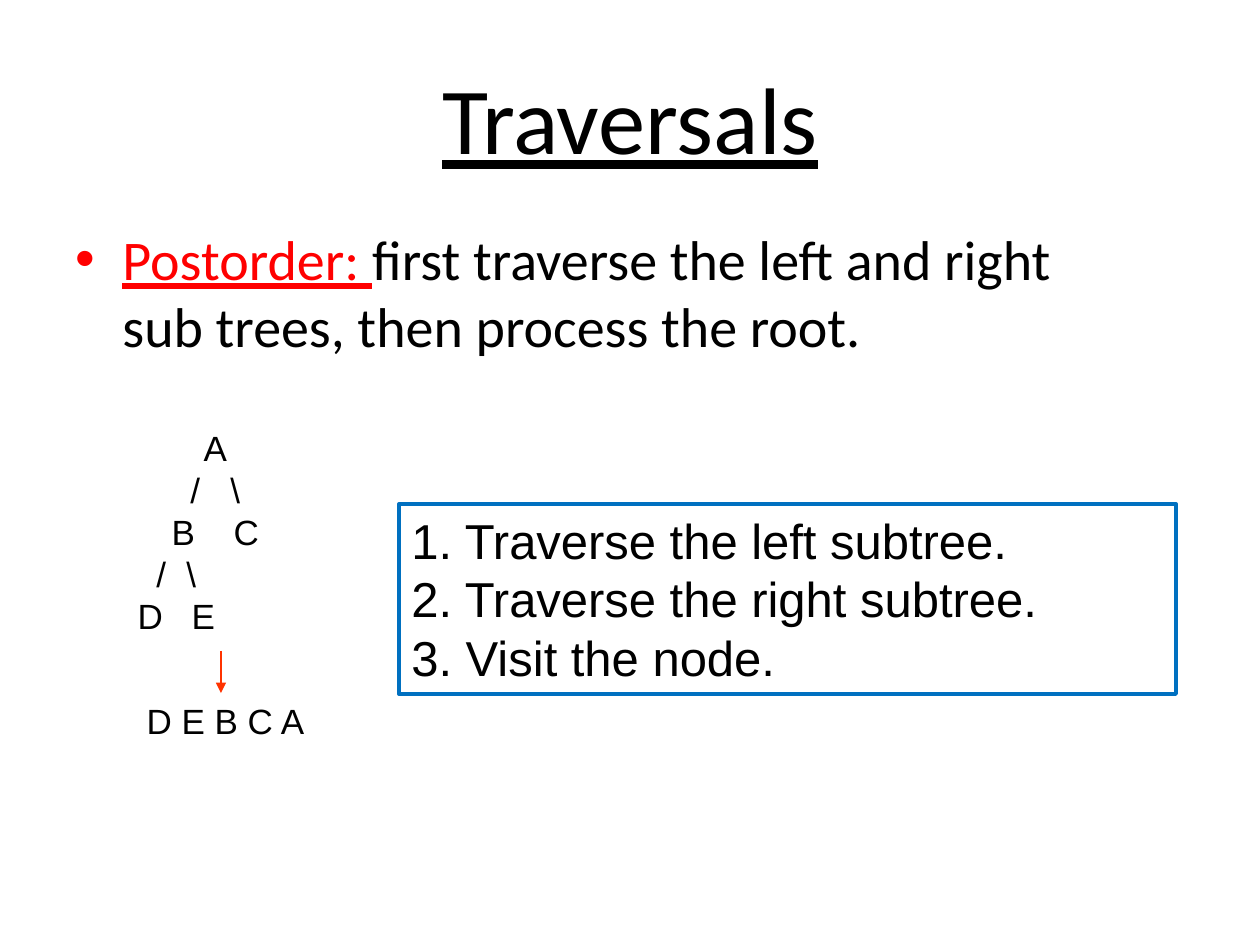
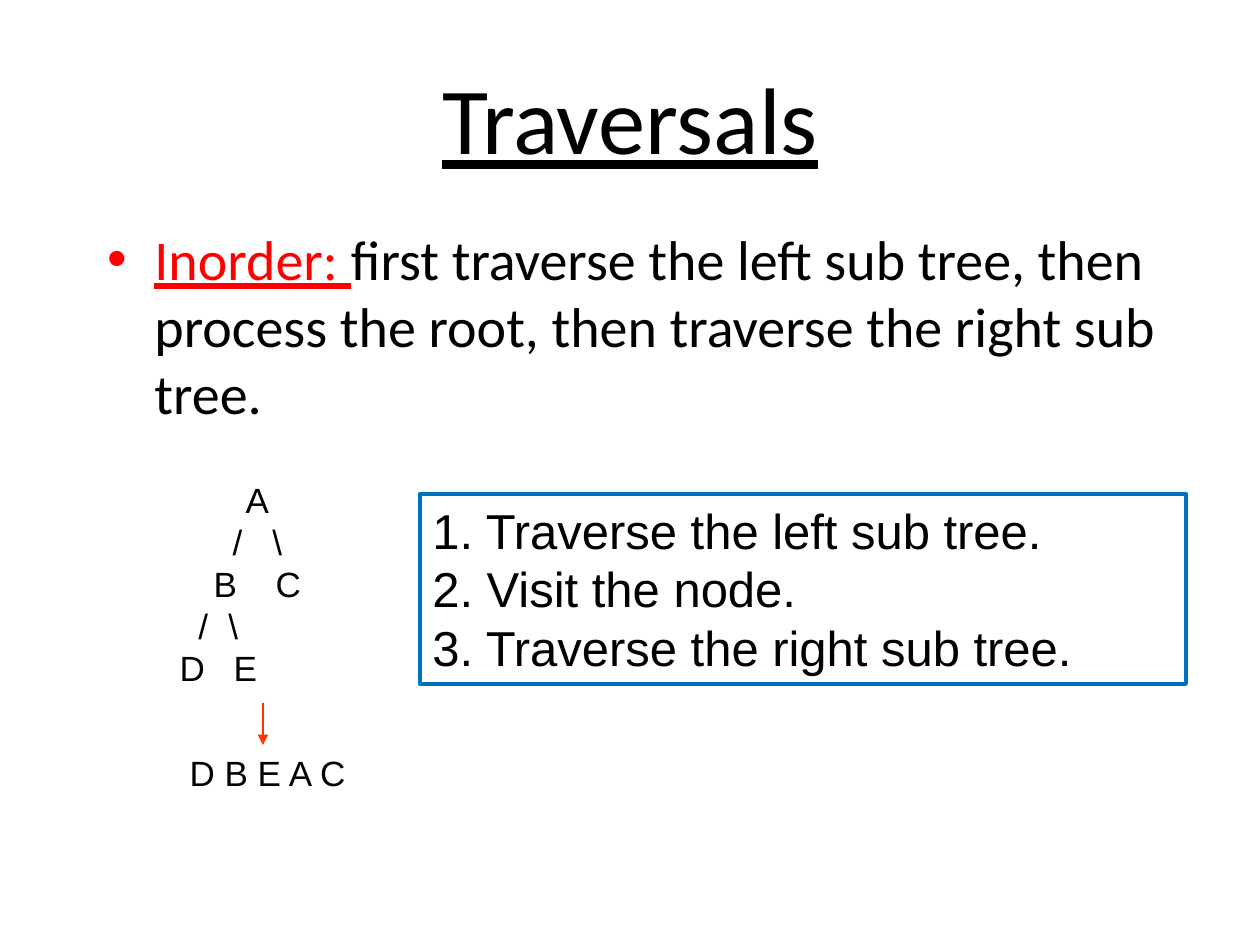
from lxml.etree import SubElement
from pptx import Presentation
from pptx.dml.color import RGBColor
from pptx.enum.shapes import MSO_CONNECTOR as Connector, MSO_SHAPE as Shape
from pptx.enum.text import MSO_ANCHOR as Anchor, PP_ALIGN as Align
from pptx.oxml.ns import qn
from pptx.util import Pt

EMU_PER_PX = 914400 / 126
COLORS = {"text": "000000", "term": "FF0000", "arrow": "FF3300", "frame": "0070C0"}
TREE_ROWS = [
    [("A", 87)],
    [("/", 67), ("\\", 107)],
    [("B", 55), ("C", 118)],
    [("/", 33), ("\\", 63)],
    [("D", 22), ("E", 75)],
]


def px(length):
    return round(length * EMU_PER_PX)


def color(name):
    return RGBColor.from_string(COLORS[name])


class TraversalDeck:
    heading_font = "Calibri"
    diagram_font = "Arial"

    def __init__(self):
        self.deck = Presentation()
        self.deck.slide_width, self.deck.slide_height = px(1260), px(945)
        self.page = None

    def new_page(self):
        self.page = self.deck.slides.add_slide(self.deck.slide_layouts[6])

    def style(self, font, size, name, color_name="text", underline=False):
        font.size, font.name, font.underline = Pt(size), name, underline
        font.color.rgb = color(color_name)

    def text_box(self, left, top, width, height, text=""):
        box = self.page.shapes.add_textbox(px(left), px(top), px(width), px(height))
        box.text_frame.word_wrap = True
        box.text_frame.text = text
        return box

    def title(self, text):
        box = self.text_box(63, 38, 1134, 158, text)
        box.text_frame.vertical_anchor = Anchor.MIDDLE
        para = box.text_frame.paragraphs[0]
        para.alignment = Align.CENTER
        self.style(para.runs[0].font, 54, self.heading_font, underline=True)

    def definition(self, left, height, term, meaning):
        para = self.text_box(left, 218, 1092, height, term + ": ").text_frame.paragraphs[0]
        props = para._p.get_or_add_pPr()
        props.set("marL", str(px(47)))
        props.set("indent", str(px(-47)))
        SubElement(props, qn("a:buFont"), typeface="Arial")
        SubElement(props, qn("a:buChar"), char="•")
        self.style(para.runs[0].font, 32, self.heading_font, "term", True)
        span = para.add_run()
        span.text = meaning
        self.style(span.font, 32, self.heading_font)

    def tree(self, left, top):
        frame = self.text_box(left, top, 199, 223).text_frame
        for index, row in enumerate(TREE_ROWS):
            para = frame.add_paragraph() if index else frame.paragraphs[0]
            para.text = "".join("\t" + mark for mark, _ in row)
            stops = SubElement(para._p.get_or_add_pPr(), qn("a:tabLst"))
            for _, center in row:
                SubElement(stops, qn("a:tab"), pos=str(px(center)), algn="ctr")
            self.style(para.runs[0].font, 20, self.diagram_font)

    def arrow(self, x, top, bottom):
        line = self.page.shapes.add_connector(
            Connector.STRAIGHT, px(x), px(top), px(x), px(bottom))
        line.line.color.rgb = color("arrow")
        line.line.width = Pt(0.75)
        SubElement(line.line._get_or_add_ln(), qn("a:tailEnd"), type="triangle")
        SubElement(line._element.spPr, qn("a:effectLst"))

    def visit_order(self, left, top, order):
        para = self.text_box(left, top, 199, 54, order).text_frame.paragraphs[0]
        para.alignment = Align.CENTER
        self.style(para.runs[0].font, 20, self.diagram_font)

    def tree_with_order(self, left, top, order):
        self.arrow(left + 105, top + 231, top + 273)
        self.tree(left, top)
        self.visit_order(left + 10, top + 273, order)

    def steps(self, left, top, width, lines):
        box = self.page.shapes.add_shape(
            Shape.RECTANGLE, px(left), px(top), px(width), px(190))
        box.shadow.inherit = False
        box.fill.background()
        box.line.color.rgb = color("frame")
        box.line.width = Pt(2.25)
        frame = box.text_frame
        frame.word_wrap = True
        frame.vertical_anchor = Anchor.TOP
        frame.text = "\n".join(f"{number}. {line}" for number, line in enumerate(lines, 1))
        for para in frame.paragraphs:
            para.alignment = Align.LEFT
            self.style(para.runs[0].font, 28, self.diagram_font)


def main():
    slides = TraversalDeck()

    slides.new_page()
    slides.title("Traversals")
    slides.definition(63, 158, "Postorder",
                      "first traverse the left and right sub trees, then process the root.")
    slides.tree_with_order(116, 420, "D E B C A")
    slides.steps(399, 504, 777, [
        "Traverse the left subtree.", "Traverse the right subtree.", "Visit the node."])

    slides.new_page()
    slides.title("Traversals")
    slides.definition(95, 223, "Inorder",
                      "first traverse the left sub tree, then process the root, "
                      "then traverse the right sub tree.")
    slides.tree_with_order(158, 472, "D B E A C")
    slides.steps(420, 494, 766, [
        "Traverse the left sub tree.", "Visit the node.", "Traverse the right sub tree."])

    slides.deck.save("out.pptx")


if __name__ == "__main__":
    main()
